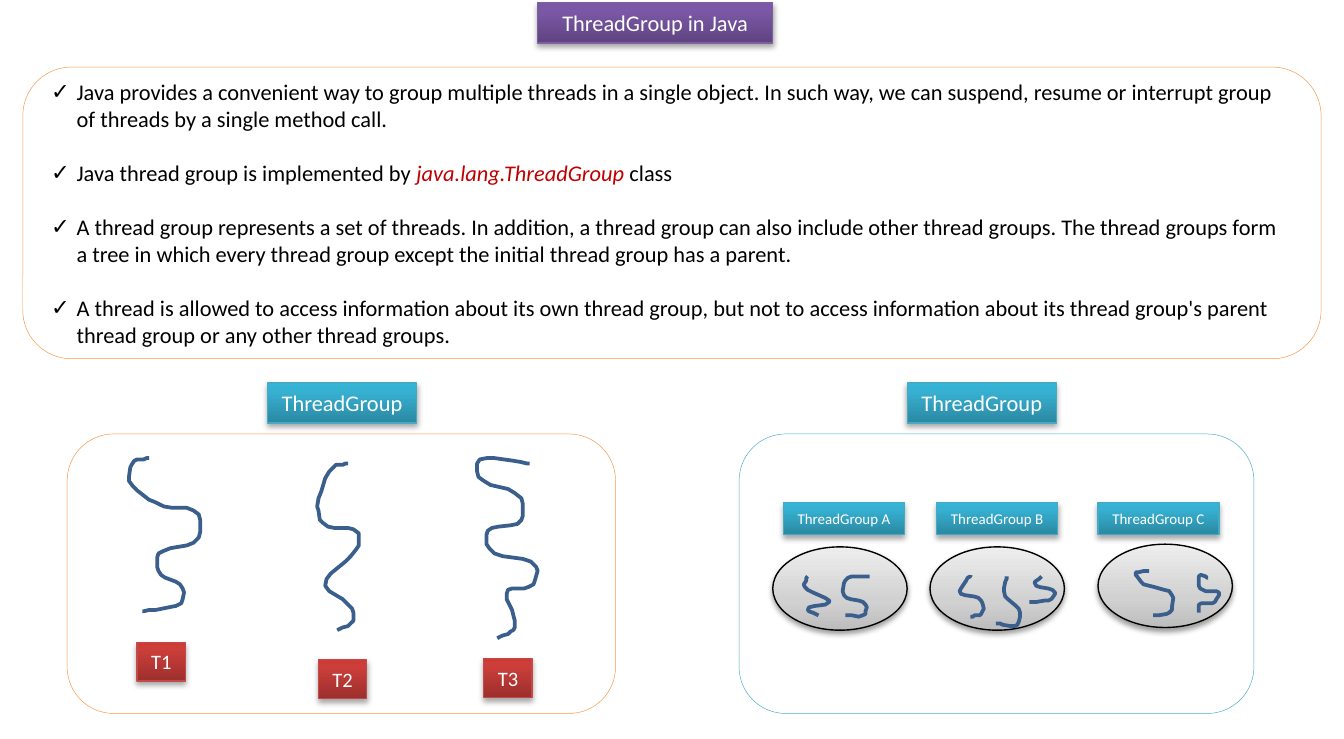
from pptx import Presentation
from pptx.dml.color import RGBColor
from pptx.enum.shapes import MSO_SHAPE
from pptx.enum.text import MSO_ANCHOR, MSO_AUTO_SIZE, PP_ALIGN
from pptx.oxml import parse_xml
from pptx.oxml.ns import nsdecls
from pptx.util import Inches, Pt

RECT, ROUND, OVAL = MSO_SHAPE.RECTANGLE, MSO_SHAPE.ROUNDED_RECTANGLE, MSO_SHAPE.OVAL
MID, CENTER, FIXED = MSO_ANCHOR.MIDDLE, PP_ALIGN.CENTER, MSO_AUTO_SIZE.NONE

THEME = {
    "font": "Calibri", "text": 12, "tag": 11, "small": 8,
    "ink": "000000", "light": "FFFFFF", "key": "C00000",
    "orange": "F79646", "blue": "4BACC6", "thread": "3A5F8C",
    "purple": ("7D60A0", 35, 80, ("5F4480", "7B58A6", "7C57A8")),
    "red": ("BF4C48", 35, 80, ("9C2F2D", "CB3E3A", "CE3B37")),
    "teal": ("46AAC5", 35, 80, ("2A88A2", "37B1D2", "34B4D6")),
    "grey": ("000000", 38, 35, ("BDBDBD", "D1D1D1", "EEEEEE")),
}
COLS, ROWS = 1000, 550
CELL = Inches(10) // COLS


def gloss(shape, look):
    edge, alpha, turn, tones = THEME[look]
    shape.line.color.rgb = RGBColor.from_string(edge)
    shape.line.width = Pt(0.75)
    marks = "".join(f'<a:gs pos="{pos * 1000}"><a:srgbClr val="{tone}"/></a:gs>'
                    for pos, tone in zip((0, turn, 100), tones))
    fill = parse_xml(f'<a:gradFill {nsdecls("a")} rotWithShape="1"><a:gsLst>{marks}</a:gsLst>'
                     '<a:lin ang="16200000" scaled="0"/></a:gradFill>')
    shade = parse_xml(f'<a:effectLst {nsdecls("a")}><a:outerShdw blurRad="{Pt(3.1)}" '
                      f'dist="{Pt(1.8)}" dir="5400000" rotWithShape="0"><a:srgbClr val="000000">'
                      f'<a:alpha val="{alpha * 1000}"/></a:srgbClr></a:outerShdw></a:effectLst>')
    shape.line._ln.addprevious(fill)
    shape.line._ln.addnext(shade)


def label(shape, text, size):
    frame = shape.text_frame
    frame.text = text
    frame.auto_size = FIXED
    frame.word_wrap = False
    frame.vertical_anchor = MID
    para = frame.paragraphs[0]
    para.alignment = CENTER
    font = para.runs[0].font
    font.name = THEME["font"]
    font.size = Pt(THEME[size])
    font.color.rgb = RGBColor.from_string(THEME["light"])


deck = Presentation()
deck.slide_width, deck.slide_height = COLS * CELL, ROWS * CELL
slide = deck.slides.add_slide(deck.slide_layouts[1])
shapes = slide.shapes
title, body = shapes.title, slide.placeholders[1]

for item, spot in ((title, (400, 2, 175, 30)), (body, (28, 50, 944, 217))):
    item.left, item.top, item.width, item.height = [n * CELL for n in spot]
gloss(title, "purple")
label(title, "ThreadGroup in Java", "text")

points = [
    ["Java provides a convenient way to group multiple threads in a single object. In such way, we can suspend, resume or interrupt group of threads by a single method call."],
    ["Java thread group is implemented by ", "java.lang.ThreadGroup ", "class"],
    ["A thread group represents a set of threads. In addition, a thread group can also include other thread groups. The thread groups form a tree in which every thread group except the initial thread group has a parent."],
    ["A thread is allowed to access information about its own thread group, but not to access information about its thread group's parent thread group or any other thread groups."],
]
frame = body.text_frame
frame.auto_size = FIXED
frame.word_wrap = True
frame.vertical_anchor = MID
for i, parts in enumerate(points):
    para = frame.add_paragraph() if i else frame.paragraphs[0]
    props = para._p.get_or_add_pPr()
    props.set("marL", str(19 * CELL))
    props.set("indent", str(-19 * CELL))
    props.append(parse_xml(f'<a:buChar {nsdecls("a")} char="✓"/>'))
    para.space_before = Pt(14.5 if i else 0)
    for j, part in enumerate(parts):
        run = para.add_run()
        run.text = part
        run.font.name = THEME["font"]
        run.font.size = Pt(THEME["text"])
        run.font.italic = j == 1
        run.font.color.rgb = RGBColor.from_string(THEME["key" if j == 1 else "ink"])

panels = [(17, 50, 966, 217, "orange"), (50, 323, 408, 208, "orange"), (550, 323, 383, 208, "blue")]
for *spot, tone in panels:
    panel = shapes.add_shape(ROUND, *[n * CELL for n in spot])
    panel.shadow.inherit = False
    panel.fill.background()
    panel.line.color.rgb = RGBColor.from_string(THEME[tone])
    panel.line.width = Pt(0.25)

for x, y in ((575, 407), (692, 407), (817, 405)):
    gloss(shapes.add_shape(OVAL, x * CELL, y * CELL, 100 * CELL, 62 * CELL), "grey")

tags = [
    (111, 30, "teal", "text", [("ThreadGroup", 199, 285), ("ThreadGroup", 675, 285)]),
    (36, 29, "red", "tag", [("T1", 102, 478), ("T2", 237, 491), ("T3", 360, 490)]),
    (90, 24, "teal", "small", [("ThreadGroup A", 583, 374), ("ThreadGroup B", 697, 374),
                               ("ThreadGroup C", 817, 374)]),
]
for wide, high, look, size, spots in tags:
    for text, x, y in spots:
        tag = shapes.add_shape(RECT, x * CELL, y * CELL, wide * CELL, high * CELL)
        gloss(tag, look)
        label(tag, text, size)

threads = [
    [(111, 341), (98, 343), (95, 360), (118, 377), (149, 379), (149, 404), (117, 410),
     (117, 427), (137, 436), (136, 451), (106, 455)],
    [(259, 345), (246, 347), (235, 375), (240, 392), (268, 394), (266, 411), (237, 434),
     (263, 452), (263, 464), (251, 469)],
    [(394, 345), (356, 339), (354, 357), (389, 368), (389, 391), (362, 392), (362, 411),
     (401, 419), (397, 438), (374, 438), (384, 462), (382, 470), (370, 475)],
    [(601, 429), (597, 438), (622, 448), (598, 453), (609, 458)],
    [(647, 429), (628, 429), (627, 445), (645, 448), (644, 459), (629, 458)],
    [(722, 428), (712, 442), (731, 445), (732, 457), (722, 459)],
    [(749, 429), (746, 442), (760, 455), (757, 467), (741, 464)],
    [(775, 429), (768, 435), (786, 440), (782, 447), (766, 448)],
    [(855, 425), (843, 426), (852, 436), (873, 440), (872, 457), (858, 458)],
    [(899, 430), (892, 427), (892, 440), (908, 440), (904, 449), (892, 449), (892, 456)],
]
for trail in threads:
    for turn in range(2):
        cuts = [(a + (c - a) * part, b + (d - b) * part)
                for (a, b), (c, d) in zip(trail, trail[1:]) for part in (0.2, 0.8)]
        trail = [trail[0], *cuts, trail[-1]]
    pen = shapes.build_freeform(*trail[0], scale=CELL)
    pen.add_line_segments(trail[1:], close=False)
    thread = pen.convert_to_shape()
    thread.shadow.inherit = False
    thread.fill.background()
    thread.line.color.rgb = RGBColor.from_string(THEME["thread"])
    thread.line.width = Pt(2)

deck.save("out.pptx")
